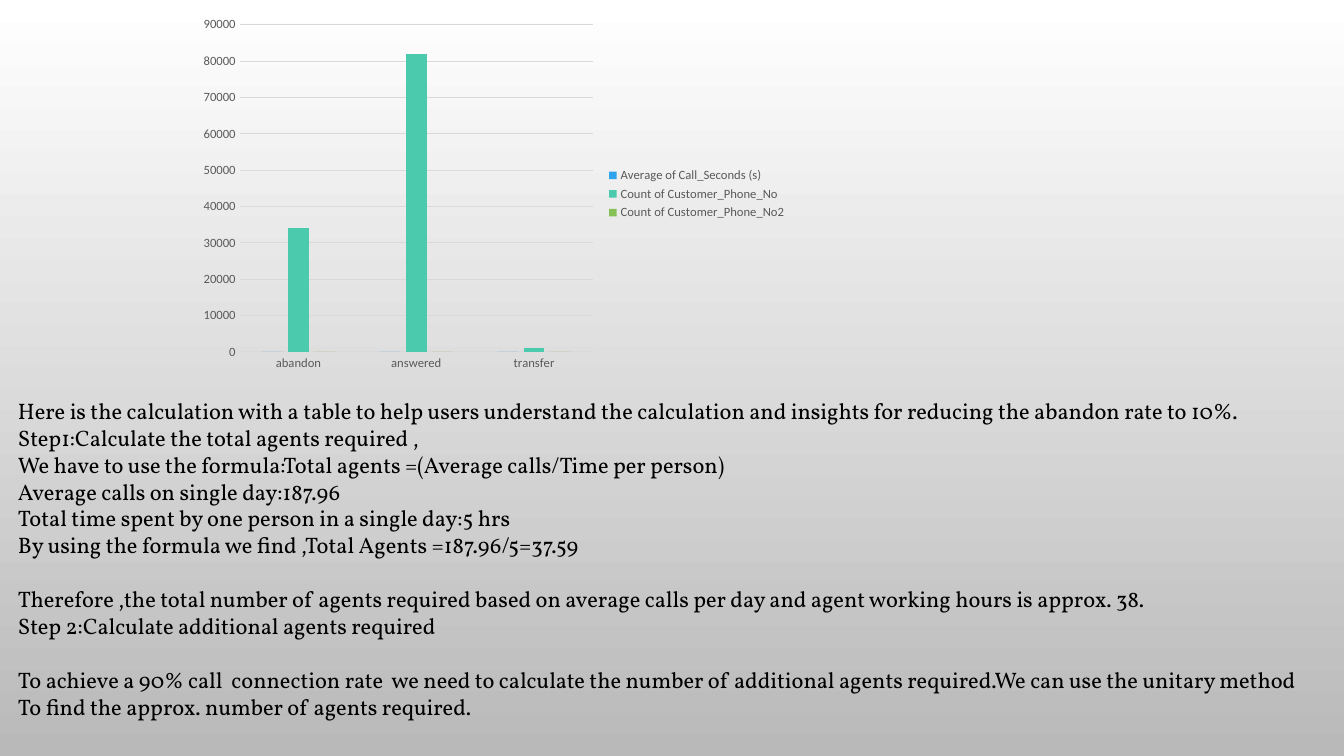
from dataclasses import dataclass

from pptx import Presentation
from pptx.chart.data import CategoryChartData
from pptx.dml.color import RGBColor
from pptx.enum.chart import XL_CHART_TYPE, XL_LEGEND_POSITION, XL_TICK_MARK
from pptx.enum.text import MSO_AUTO_SIZE
from pptx.util import Inches, Pt

COLORS = {
    "top": "FFFFFF", "bottom": "B9B9B9", "text": "000000",
    "label": "595959", "grid": "D9D9D9",
    "seconds": "2FA3EE", "count": "4BCAAD", "count2": "86C157",
}
BODY_FONT = {"name": "Vollkorn", "size": Pt(16)}
CHART_FONT = {"name": "Calibri", "size": Pt(9), "bold": False}


@dataclass
class Series:
    name: str
    values: tuple
    color: str


@dataclass
class Box:
    left: float
    top: float
    width: float
    height: float

    def emu(self) -> tuple:
        return tuple(Inches(v) for v in (self.left, self.top, self.width, self.height))


CATEGORIES = ("abandon", "answered", "transfer")
SERIES = (
    Series("Average of Call_Seconds (s)", (0, 0, 0), "seconds"),
    Series("Count of Customer_Phone_No", (34000, 82000, 1000), "count"),
    Series("Count of Customer_Phone_No2", (0, 0, 0), "count2"),
)

# Each group is set apart from the one before by a one-line gap
GROUPS = (
    (
        "Here is the calculation with a table to help users understand the calculation "
        "and insights for reducing the abandon rate to 10%.",
        "Step1:Calculate the total agents required ,",
        "We have to use the formula:Total agents =(Average calls/Time per person)",
        "Average calls on single day:187.96",
        "Total time spent by one person in a single day:5 hrs",
        "By using the formula we find ,Total Agents =187.96/5=37.59",
    ),
    (
        "Therefore ,the total number of agents required based on average calls per day "
        "and agent working hours is approx. 38.",
        "Step 2:Calculate additional agents required",
    ),
    (
        "To achieve a 90% call  connection rate  we need to calculate the number of "
        "additional agents required.We can use the unitary method",
        "To find the approx. number of agents required.",
    ),
)
GROUP_GAP = Pt(19.4)


def rgb(key: str) -> RGBColor:
    return RGBColor.from_string(COLORS[key])


def set_font(font, formats: dict, color: str) -> None:
    for attr, value in formats.items():
        setattr(font, attr, value)
    font.color.rgb = rgb(color)


def set_line(line, color: str) -> None:
    line.color.rgb = rgb(color)
    line.width = Pt(0.75)


def set_background(s) -> None:
    fill = s.background.fill
    fill.gradient()
    fill.gradient_angle = 270
    for stop, key in zip(fill.gradient_stops, ("top", "bottom")):
        stop.color.rgb = rgb(key)


def add_calls_chart(s, box: Box) -> None:
    data = CategoryChartData()
    data.categories = CATEGORIES
    for series in SERIES:
        data.add_series(series.name, series.values)
    chart = s.shapes.add_chart(XL_CHART_TYPE.COLUMN_CLUSTERED, *box.emu(), data).chart
    chart.has_title = False
    set_font(chart.font, CHART_FONT, "label")

    # Columns
    plot = chart.plots[0]
    plot.gap_width, plot.overlap, plot.vary_by_categories = 219, -27, False
    for column, series in zip(plot.series, SERIES):
        column.format.fill.solid()
        column.format.fill.fore_color.rgb = rgb(series.color)

    # Axes
    for axis in (chart.category_axis, chart.value_axis):
        axis.major_tick_mark = axis.minor_tick_mark = XL_TICK_MARK.NONE
        set_font(axis.tick_labels.font, CHART_FONT, "label")
    set_line(chart.category_axis.format.line, "grid")
    values = chart.value_axis
    values.minimum_scale, values.maximum_scale, values.major_unit = 0, 90000, 10000
    values.format.line.fill.background()
    set_line(values.major_gridlines.format.line, "grid")

    # Legend
    chart.has_legend = True
    chart.legend.position = XL_LEGEND_POSITION.RIGHT
    chart.legend.include_in_layout = False
    set_font(chart.legend.font, CHART_FONT, "label")


def add_calculation(s, box: Box) -> None:
    tf = s.shapes.add_textbox(*box.emu()).text_frame
    tf.word_wrap = True
    tf.auto_size = MSO_AUTO_SIZE.SHAPE_TO_FIT_TEXT
    p = tf.paragraphs[0]
    for g, group in enumerate(GROUPS):
        for i, line in enumerate(group):
            if g or i:
                p = tf.add_paragraph()
            if g and i == 0:
                p.space_before = GROUP_GAP
            r = p.add_run()
            r.text = line
            set_font(r.font, BODY_FONT, "text")


def main() -> None:
    prs = Presentation()
    prs.slide_width, prs.slide_height = Inches(13.33), Inches(7.5)
    s = prs.slides.add_slide(prs.slide_layouts[6])
    set_background(s)
    add_calls_chart(s, Box(1.9, 0.1, 6, 3.65))
    add_calculation(s, Box(0.08, 3.89, 13.25, 3.33))
    prs.save("out.pptx")


if __name__ == "__main__":
    main()
